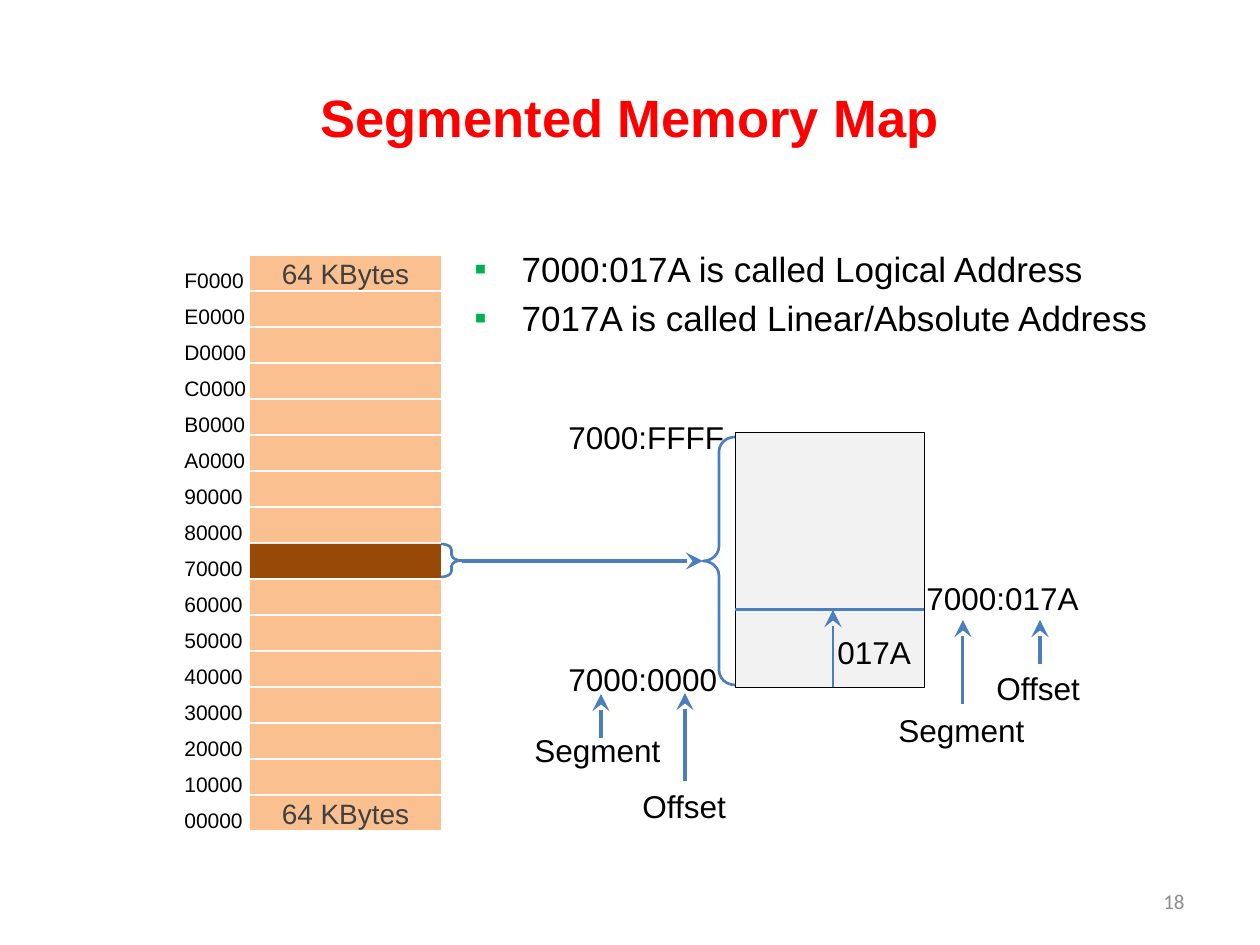
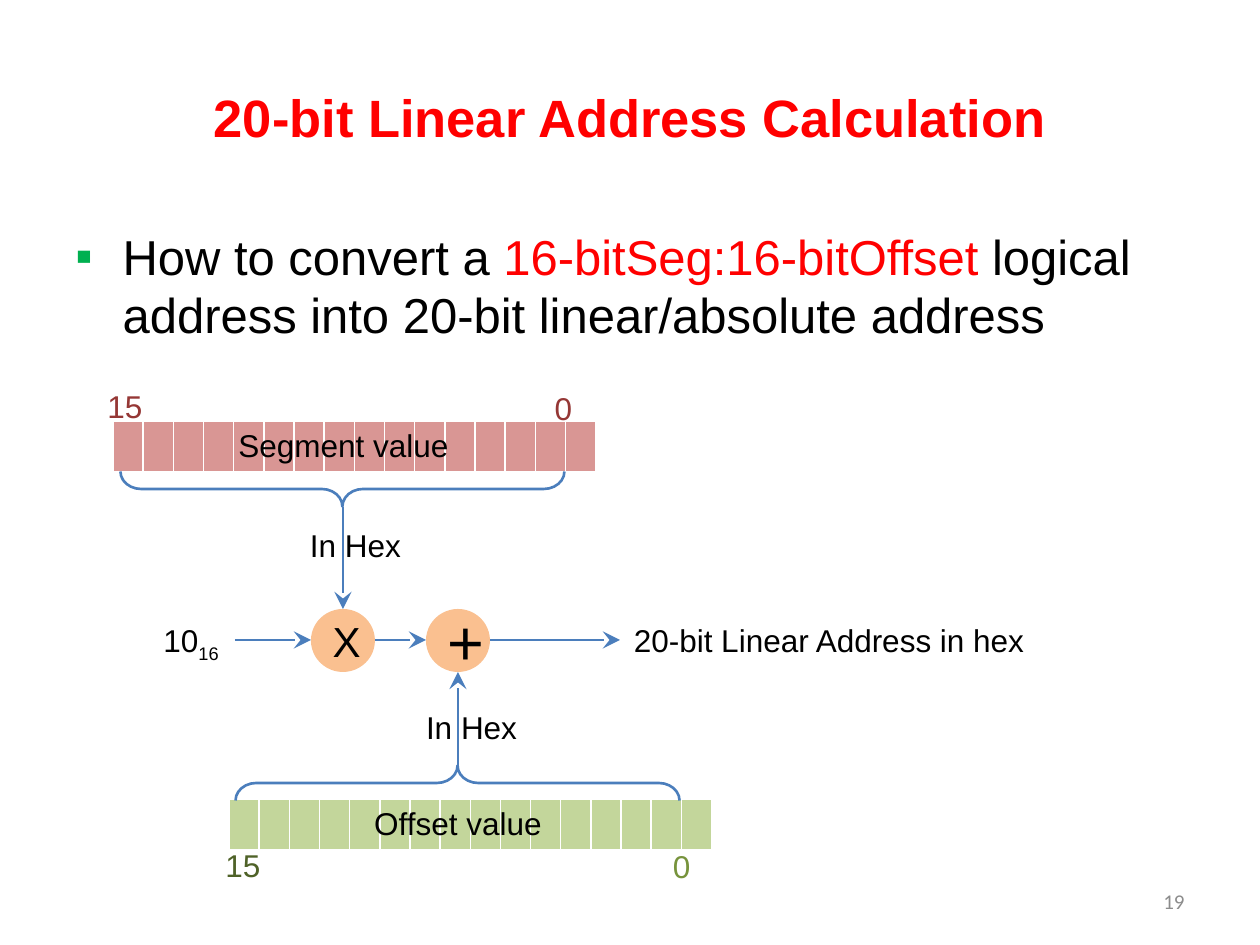
"""Build two slides on segmented memory and linear address calculation."""
import pptx
import pptx.dml.color
import pptx.enum.shapes
import pptx.enum.text
import pptx.oxml.ns
import pptx.util
from lxml import etree

SHAPE = pptx.enum.shapes.MSO_SHAPE
ALIGN = pptx.enum.text.PP_ALIGN
MIDDLE = pptx.enum.text.MSO_ANCHOR.MIDDLE
GROW = pptx.enum.text.MSO_AUTO_SIZE.SHAPE_TO_FIT_TEXT
PX = 914400 / 126

BLACK, WHITE, RED, GREEN = "000000", "FFFFFF", "FF0000", "00B050"
BLUE, PEACH, BROWN, PALE = "4B7EBC", "FAC090", "984807", "F2F2F2"
DARK_GREY, GREY = "404040", "8C8C8C"

TITLE = {"size": 30, "color": RED, "bold": True, "align": ALIGN.CENTER}
FOOTER = {"size": 12, "color": GREY, "name": "Calibri", "align": ALIGN.RIGHT}
LABEL = {"size": 18}
CENTRED = {"size": 18, "align": ALIGN.CENTER}
ADDRESS = {"size": 12}
CAPACITY = {"size": 16, "color": DARK_GREY, "align": ALIGN.CENTER}
TITLE_BOX = (63, 37, 1134, 158)
FOOTER_BOX = (903, 876, 294, 50)
LABEL_HEIGHT, ADDRESS_HEIGHT = 50, 38

MEMORY = {
    "title": "Segmented Memory Map",
    "page": "18",
    "points": [["7000:017A is called Logical Address"],
               ["7017A is called Linear/Absolute Address"]],
    "points_box": (462, 241, 714, 116),
    "points_size": 20,
    "labels": [
        ("7000:0000", 556, 654, 175), ("7000:FFFF", 556, 412, 183),
        ("Segment", 522, 725, 152), ("Offset", 630, 781, 110),
        ("017A", 825, 627, 100), ("7000:017A", 914, 573, 179),
        ("Segment", 886, 705, 152), ("Offset", 984, 663, 110),
    ],
    "arrows": [
        (462, 561, 703, 561, 1.75), (601, 738, 601, 694, 1.75),
        (685, 781, 685, 693, 1.75), (833, 687, 833, 610, 1.5),
        (1040, 664, 1040, 620, 1.75), (963, 704, 963, 620, 1.75),
    ],
    "braces": [
        (SHAPE.RIGHT_BRACE, (441, 544, 21, 33), 0.27, 0),
        (SHAPE.LEFT_BRACE, (703, 437, 32, 248), 0.46, 0),
    ],
}
SEGMENT_BOX = (735, 432, 189, 255)
OFFSET_LINE = (735, 610, 924, 610, 1.75)
SEGMENT_DIGITS = "FEDCBA9876543210"
ACTIVE_DIGIT = "7"
CAPACITIES = {"F": "64 KBytes", "0": "64 KBytes"}
MAP_LEFT, MAP_TOP, MAP_WIDTH, BANK_HEIGHT, BANK_PITCH = 250, 256, 191, 34, 36
ADDRESS_LEFT, ADDRESS_TOP, ADDRESS_WIDTH = 172, 261, 92

CALCULATION = {
    "title": "20-bit Linear Address Calculation",
    "page": "19",
    "points": [["How to convert a ", ("16-bitSeg:16-bitOffset", {"color": RED}),
                " logical address into 20-bit linear/absolute address"]],
    "points_box": (63, 220, 1134, 136),
    "points_size": 28,
    "labels": [
        ("Segment value", 225, 420, 237), ("Offset value", 361, 798, 194),
        ("20-bit Linear Address in hex", 619, 615, 420),
        ("In Hex", 297, 520, 117), ("In Hex", 413, 702, 117),
    ],
    "arrows": [
        (343, 507, 343, 609, 1.5), (235, 640, 311, 640, 1.5),
        (458, 765, 458, 672, 1.5), (375, 640, 426, 640, 1.5),
        (490, 640, 620, 640, 1.5),
    ],
    "braces": [
        (SHAPE.LEFT_BRACE, (325, 267, 35, 444), 0.59, 270),
        (SHAPE.LEFT_BRACE, (440, 561, 35, 444), 0.59, 90),
    ],
}
REGISTERS = [(113, 421, "D99694"), (229, 799, "C3D69B")]
BIT_COUNT, BIT_WIDTH, BIT_HEIGHT = 16, 29, 52
BIT_BORDERS = {"lnL": 1, "lnR": 1, "lnT": 1, "lnB": 3}
BIT_NUMBERS = [
    ("15", 95, 381, 60, "953735"), ("0", 542, 383, 43, "953735"),
    ("15", 213, 840, 60, "4F6228"), ("0", 660, 841, 43, "77933C"),
]
OPERATORS = [("X", 311, 24), ("+", 426, 36)]
OPERATOR_TOP, OPERATOR_WIDTH, OPERATOR_HEIGHT = 609, 64, 63
MULTIPLIER = ["10", ("16", {"baseline": -25000})]
MULTIPLIER_BOX = (151, 615, 84, LABEL_HEIGHT)


def emu(*lengths):
    return [pptx.util.Emu(round(length * PX)) for length in lengths]


def rgb(color):
    return pptx.dml.color.RGBColor.from_string(color)


def child(parent, tag, **attributes):
    return etree.SubElement(parent, pptx.oxml.ns.qn(tag), attributes)


def add_runs(paragraph, parts, style):
    paragraph.alignment = style.get("align", ALIGN.LEFT)
    for part in parts:
        text, extra = (part, {}) if isinstance(part, str) else part
        look = {**style, **extra}
        run = paragraph.add_run()
        run.text = text
        values = {"size": pptx.util.Pt(look["size"]),
                  "name": look.get("name", "Arial"),
                  "bold": look.get("bold", False)}
        for attribute, value in values.items():
            setattr(run.font, attribute, value)
        run.font.color.rgb = rgb(look.get("color", BLACK))
        if "baseline" in look:
            run.font._element.set("baseline", str(look["baseline"]))


def add_text(slide, box, parts, style, **frame_format):
    frame = slide.shapes.add_textbox(*emu(*box)).text_frame
    for attribute, value in {"word_wrap": True, **frame_format}.items():
        setattr(frame, attribute, value)
    add_runs(frame.paragraphs[0], parts, style)
    return frame


def add_label(slide, box, parts, style):
    add_text(slide, box, parts, style, word_wrap=False, auto_size=GROW)


def add_points(slide, box, points, size):
    frame = add_text(slide, box, points[0], {"size": size})
    for point in points[1:]:
        add_runs(frame.add_paragraph(), point, {"size": size})
    for paragraph in frame.paragraphs:
        paragraph.space_before = pptx.util.Pt(size * 0.2)
        properties = paragraph._p.get_or_add_pPr()
        properties.set("marL", "342900")
        properties.set("indent", "-342900")
        child(child(properties, "a:buClr"), "a:srgbClr", val=GREEN)
        child(properties, "a:buFont", typeface="Arial")
        child(properties, "a:buChar", char="▪")


def add_figure(slide, kind, box, fill=None, line=None, width=1.5):
    figure = slide.shapes.add_shape(kind, *emu(*box))
    figure.shadow.inherit = False
    for format_part, color in ((figure.fill, fill), (figure.line.fill, line)):
        if color:
            format_part.solid()
            format_part.fore_color.rgb = rgb(color)
        else:
            format_part.background()
    if line:
        figure.line.width = pptx.util.Pt(width)
    return figure


def add_caption(figure, text, style):
    figure.text_frame.vertical_anchor = MIDDLE
    add_runs(figure.text_frame.paragraphs[0], [text], style)


def add_line(slide, x1, y1, x2, y2, width, arrow=False):
    line = slide.shapes.add_connector(
        pptx.enum.shapes.MSO_CONNECTOR.STRAIGHT, *emu(x1, y1, x2, y2))
    line.line.color.rgb = rgb(BLUE)
    line.line.width = pptx.util.Pt(width)
    if arrow:
        child(line.line._get_or_add_ln(), "a:tailEnd",
              type="stealth", w="lg", len="lg")
    child(line._element.spPr, "a:effectLst")


def add_register(slide, left, top, color):
    table = slide.shapes.add_table(
        1, BIT_COUNT, *emu(left, top, BIT_COUNT * BIT_WIDTH, BIT_HEIGHT)).table
    table.first_row = table.horz_banding = False
    for column, cell in zip(table.columns, table.rows[0].cells):
        column.width = emu(BIT_WIDTH)[0]
        properties = cell._tc.get_or_add_tcPr()
        for side, width in BIT_BORDERS.items():
            border = child(properties, f"a:{side}", w=str(pptx.util.Pt(width)))
            child(child(border, "a:solidFill"), "a:srgbClr", val=WHITE)
        cell.fill.solid()
        cell.fill.fore_color.rgb = rgb(color)


def start_slide(deck, content):
    slide = deck.slides.add_slide(deck.slide_layouts[6])
    add_text(slide, TITLE_BOX, [content["title"]], TITLE, vertical_anchor=MIDDLE)
    add_text(slide, FOOTER_BOX, [content["page"]], FOOTER, vertical_anchor=MIDDLE)
    add_points(slide, content["points_box"], content["points"],
               content["points_size"])
    return slide


def add_diagram(slide, content, label_style):
    for kind, box, curve, rotation in content["braces"]:
        brace = add_figure(slide, kind, box, line=BLUE)
        brace.adjustments[0] = curve
        brace.rotation = rotation
    for arrow in content["arrows"]:
        add_line(slide, *arrow, arrow=True)
    for text, left, top, width in content["labels"]:
        add_label(slide, (left, top, width, LABEL_HEIGHT), [text], label_style)


def build_memory_map(deck):
    slide = start_slide(deck, MEMORY)
    for row, digit in enumerate(SEGMENT_DIGITS):
        drop = row * BANK_PITCH
        bank = add_figure(slide, SHAPE.RECTANGLE,
                          (MAP_LEFT, MAP_TOP + drop, MAP_WIDTH, BANK_HEIGHT),
                          BROWN if digit == ACTIVE_DIGIT else PEACH)
        if digit in CAPACITIES:
            add_caption(bank, CAPACITIES[digit], CAPACITY)
        add_label(slide, (ADDRESS_LEFT, ADDRESS_TOP + drop, ADDRESS_WIDTH,
                          ADDRESS_HEIGHT), [digit + "0000"], ADDRESS)
    add_figure(slide, SHAPE.RECTANGLE, SEGMENT_BOX, PALE, BLACK, 0.25)
    add_line(slide, *OFFSET_LINE)
    add_diagram(slide, MEMORY, LABEL)


def build_calculation(deck):
    slide = start_slide(deck, CALCULATION)
    for register in REGISTERS:
        add_register(slide, *register)
    for text, left, size in OPERATORS:
        circle = add_figure(
            slide, SHAPE.OVAL,
            (left, OPERATOR_TOP, OPERATOR_WIDTH, OPERATOR_HEIGHT), PEACH)
        add_caption(circle, text, {"size": size, "align": ALIGN.CENTER})
    add_diagram(slide, CALCULATION, CENTRED)
    add_label(slide, MULTIPLIER_BOX, MULTIPLIER, LABEL)
    for text, left, top, width, color in BIT_NUMBERS:
        add_label(slide, (left, top, width, LABEL_HEIGHT), [text],
                  {**CENTRED, "color": color})


def main():
    deck = pptx.Presentation()
    deck.slide_width, deck.slide_height = emu(1260, 945)
    build_memory_map(deck)
    build_calculation(deck)
    deck.save("out.pptx")


if __name__ == "__main__":
    main()
